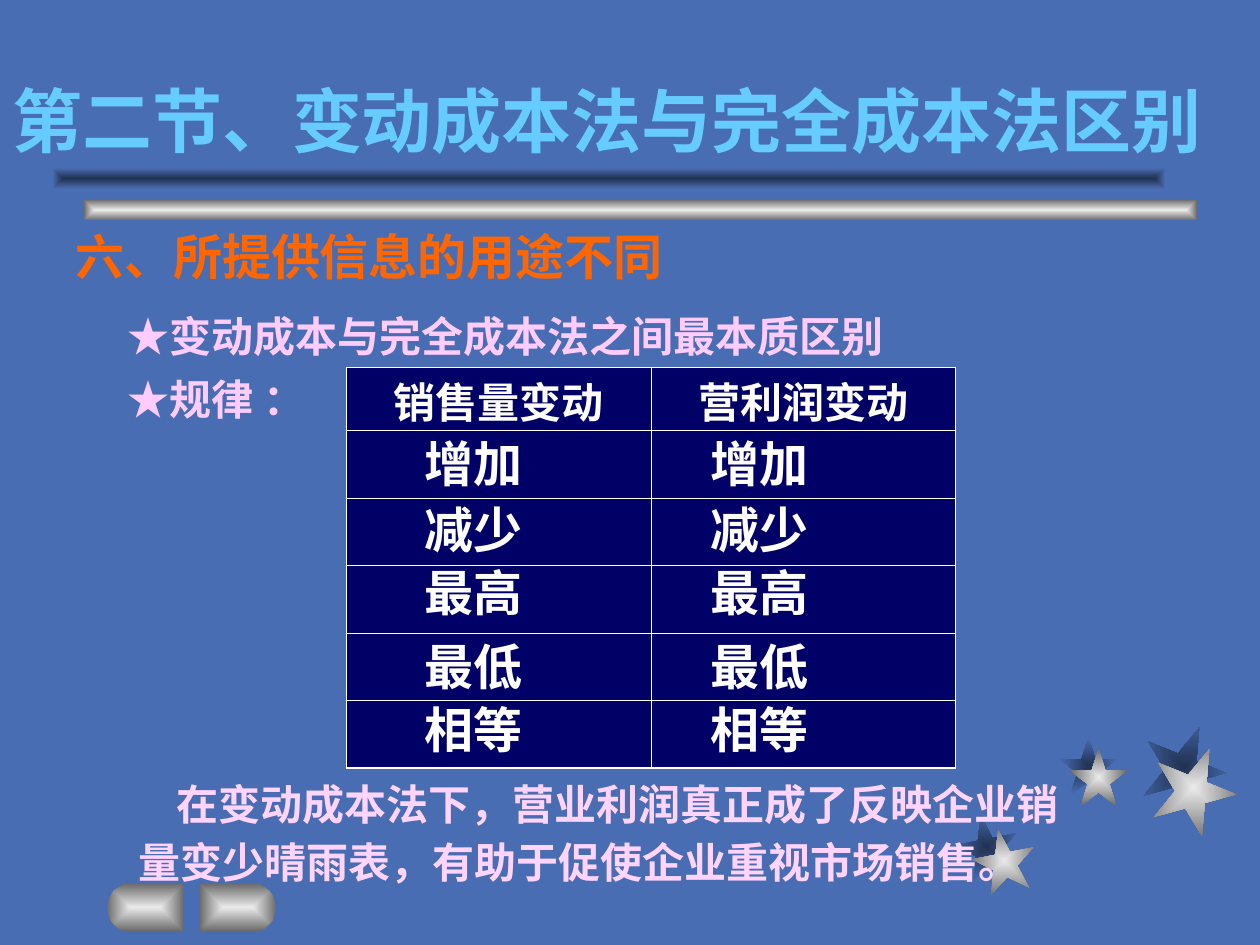
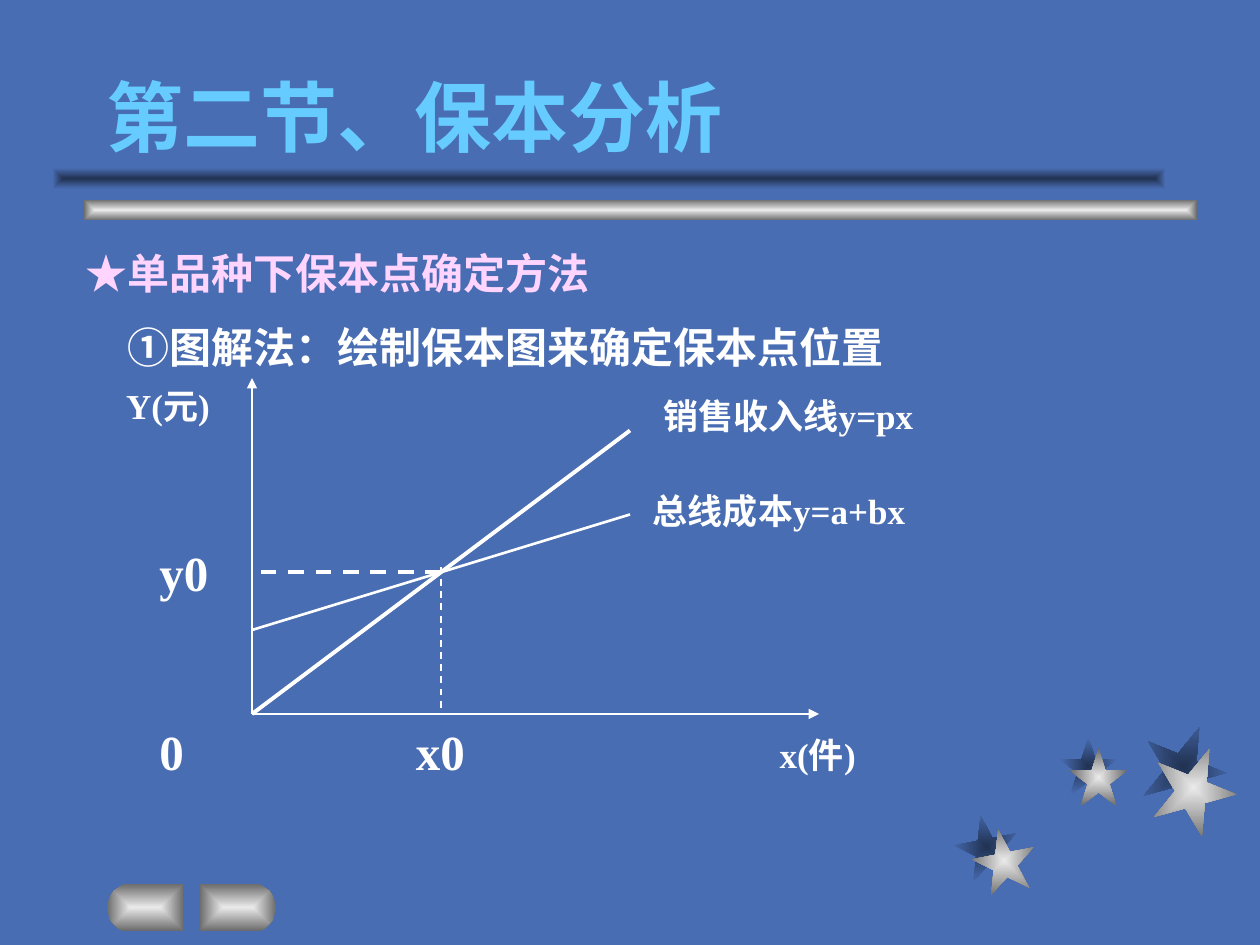
import math
from dataclasses import dataclass

import pptx
import pptx.dml.color
import pptx.enum.dml
import pptx.enum.shapes
import pptx.enum.text
import pptx.oxml
import pptx.oxml.ns
import pptx.util
from lxml import etree

Pt = pptx.util.Pt
qn = pptx.oxml.ns.qn
Shape = pptx.enum.shapes.MSO_SHAPE
Anchor = pptx.enum.text.MSO_ANCHOR
Align = pptx.enum.text.PP_ALIGN


@dataclass(frozen=True)
class Theme:
    background: str = "496DB2"
    shade: str = "213252"
    silver: str = "EAEAEA"
    grey: str = "6B6B6B"
    title: str = "66CCFF"
    heading: str = "FF6600"
    pink: str = "FFCCFF"
    pale_pink: str = "FFD5FF"
    white: str = "FFFFFF"
    navy: str = "000066"
    chinese: str = "Noto Sans CJK SC"
    serif: str = "Times New Roman"
    sans: str = "Arial"
    big_title: int = 44
    long_title: int = 40
    large: int = 28
    body: int = 24
    label: int = 20


THEME = Theme()
METAL = (THEME.silver, THEME.grey)
SHADOW = (THEME.shade, THEME.background)
# left, top, size, rotation
STARS = {
    SHADOW: [(545.8, 465.8, 36, 349), (605.5, 421.2, 33, 0), (652.3, 414, 48, 22)],
    METAL: [(555.8, 473.8, 36, 349), (611.3, 427.7, 33, 0), (658.1, 426.2, 48, 22)],
}


def fill_from_centre(shape, colours):
    """Rectangular gradient running from the middle to the edges."""
    shape.shadow.inherit = False
    shape.line.fill.background()
    shape.fill.gradient()
    for stop, colour, position in zip(shape.fill.gradient_stops, colours, (0, 1)):
        stop.color.rgb = rgb(colour)
        stop.position = position
    gradient = shape._element.spPr.find(qn("a:gradFill"))
    gradient.remove(gradient.find(qn("a:lin")))
    route = etree.SubElement(gradient, qn("a:path"), {"path": "rect"})
    sides = dict.fromkeys("ltrb", "50000")
    etree.SubElement(route, qn("a:fillToRect"), sides)


def rgb(colour):
    return pptx.dml.color.RGBColor.from_string(colour)


def add_preset(slide, kind, left, top, width, height, colours, rotation=0):
    shape = slide.shapes.add_shape(kind, Pt(left), Pt(top), Pt(width), Pt(height))
    shape.rotation = rotation
    fill_from_centre(shape, colours)


def add_button(slide, flat_edge, direction):
    """Button with a half-round end; direction is -1 for left, 1 for right."""
    top, radius, straight = 505, 13.7, 30.2
    points = []
    for step in range(13):
        angle = math.pi * (step / 12 - 0.5)
        x = flat_edge + direction * (straight + radius * math.cos(angle))
        points.append((x, top + radius * (1 + math.sin(angle))))
    points.append((flat_edge, top + 2 * radius))
    builder = slide.shapes.build_freeform(flat_edge, top, scale=Pt(1))
    builder.add_line_segments(points, close=True)
    fill_from_centre(builder.convert_to_shape(), METAL)


def add_base_slide(presentation):
    slide = presentation.slides.add_slide(presentation.slide_layouts[6])
    slide.background.fill.solid()
    slide.background.fill.fore_color.rgb = rgb(THEME.background)
    for colours, stars in STARS.items():
        for left, top, size, rotation in stars:
            add_preset(slide, Shape.STAR_5_POINT, left, top, size, size, colours, rotation)
    add_preset(slide, Shape.RECTANGLE, 48, 114, 636, 12, METAL)
    add_preset(slide, Shape.RECTANGLE, 30, 96, 636, 12, SHADOW)
    add_button(slide, 105.1, -1)
    add_button(slide, 113.8, 1)
    return slide


def format_run(run, size, colour, font):
    run.font.size = Pt(size)
    run.font.bold = True
    run.font.color.rgb = rgb(colour)
    run.font.name = font
    east_asian = etree.Element(qn("a:ea"), {"typeface": THEME.chinese})
    run.font._element.find(qn("a:latin")).addnext(east_asian)


def add_text(slide, text, left, top, width, height, size, colour,
             font=THEME.chinese, anchor=Anchor.TOP, bullet=""):
    box = slide.shapes.add_textbox(Pt(left), Pt(top), Pt(width), Pt(height))
    frame = box.text_frame
    frame.word_wrap = True
    frame.vertical_anchor = anchor
    paragraph = frame.paragraphs[0]
    paragraph.text = bullet or text
    if bullet:
        paragraph.add_run().text = text
        format_run(paragraph.runs[0], size, colour, THEME.sans)
    format_run(paragraph.runs[-1], size, colour, font)
    return paragraph


def add_title(slide, text, left, top, width, size):
    add_text(slide, text, left, top, width, 96 - top, size, THEME.title,
             anchor=Anchor.BOTTOM)


def add_label(slide, text, left, top, width, size=THEME.label):
    add_text(slide, text, left, top, width, 32, size, THEME.white, THEME.serif)


def add_change_row(slide, change, top):
    """The same change under both column headings, placed by tab stops."""
    paragraph = add_text(slide, f"\t{change}\t{change}", 204, top, 324, 41,
                         THEME.large, THEME.white, THEME.serif)
    tabs = etree.SubElement(paragraph._p.get_or_add_pPr(), qn("a:tabLst"))
    for position in (31.7, 195.2):
        etree.SubElement(tabs, qn("a:tab"), {"pos": str(Pt(position)), "algn": "l"})


def set_borders(cell, widths):
    properties = cell._tc.get_or_add_tcPr()
    for index, (side, width) in enumerate(widths.items()):
        line = etree.Element(qn(f"a:ln{side}"), {"w": str(Pt(width))})
        fill = etree.SubElement(line, qn("a:solidFill"))
        etree.SubElement(fill, qn("a:srgbClr"), {"val": THEME.white})
        properties.insert(index, line)


def add_profit_table(slide, headings, body_rows):
    row_heights = [36] + [38.6] * body_rows
    column_width = 174
    last_column = len(headings) - 1
    frame = slide.shapes.add_table(len(row_heights), len(headings), Pt(198), Pt(210),
                                   Pt(column_width * len(headings)), Pt(sum(row_heights)))
    table = frame.table
    table.first_row = table.horz_banding = False
    for column in table.columns:
        column.width = Pt(column_width)
    for row, height in enumerate(row_heights):
        table.rows[row].height = Pt(height)
        for column, heading in enumerate(headings):
            cell = table.cell(row, column)
            cell.fill.solid()
            cell.fill.fore_color.rgb = rgb(THEME.navy)
            cell.margin_top = cell.margin_bottom = 0
            if row == 0:
                cell.vertical_anchor = Anchor.BOTTOM
                paragraph = cell.text_frame.paragraphs[0]
                paragraph.text = heading
                paragraph.alignment = Align.CENTER
                format_run(paragraph.runs[0], THEME.body, THEME.white, THEME.sans)
            outer = {"L": column == 0, "R": column == last_column,
                     "T": row == 0, "B": row == body_rows}
            set_borders(cell, {side: 1.08 if edge else 0.45 for side, edge in outer.items()})


def add_line(slide, start, end, width, dashed=False, arrow=False):
    line = slide.shapes.add_connector(pptx.enum.shapes.MSO_CONNECTOR.STRAIGHT,
                                      *map(Pt, start + end))
    line.line.color.rgb = rgb(THEME.white)
    line.line.width = Pt(width)
    if dashed:
        line.line.dash_style = pptx.enum.dml.MSO_LINE.DASH
    if arrow:
        etree.SubElement(line.line._get_or_add_ln(), qn("a:tailEnd"), {"type": "triangle"})
    etree.SubElement(line._element.spPr, qn("a:effectLst"))


def add_break_even_graph(slide):
    origin, fixed_cost = (144, 408), (144, 360)
    revenue_end, cost_end, break_even = (360, 246), (360, 294), (252, 327)
    add_line(slide, origin, (468, origin[1]), 1, arrow=True)
    add_line(slide, origin, (origin[0], 216), 1.5, arrow=True)
    add_line(slide, origin, revenue_end, 2.25)
    add_line(slide, fixed_cost, cost_end, 1.5)
    add_line(slide, break_even, (origin[0], break_even[1]), 2.25, dashed=True)
    add_line(slide, (break_even[0], 324), (break_even[0], origin[1]), 1, dashed=True)
    add_label(slide, "x(件)", 438.5, 415.5, 80)
    add_label(slide, "Y(元)", 65, 216, 78)
    add_label(slide, "销售收入线y=px", 372, 222, 168)
    add_label(slide, "总线成本y=a+bx", 366, 276, 168)
    for text, left, top in (("y0", 84, 306.5), ("0", 84, 409), ("x0", 230.5, 409)):
        add_label(slide, text, left, top, 60, THEME.large)


def add_costing_slide(presentation):
    slide = add_base_slide(presentation)
    add_title(slide, "第二节、变动成本法与完全成本法区别", 0, 48, 720, THEME.long_title)
    add_text(slide, "六、所提供信息的用途不同", 36, 126, 432, 41, THEME.large, THEME.heading)
    add_text(slide, "变动成本与完全成本法之间最本质区别", 66, 174, 474, 36,
             THEME.body, THEME.pink, bullet="★")
    changes = {"增加": 244, "减少": 282, "最高": 318, "最低": 360, "相等": 396}
    add_profit_table(slide, ("销售量变动", "营利润变动"), len(changes))
    add_text(slide, "规律 ：", 66, 210, 120, 36, THEME.body, THEME.pink, bullet="★")
    for change, top in changes.items():
        add_change_row(slide, change, top)
    conclusion = add_text(
        slide, "在变动成本法下，营业利润真正成了反映企业销量变少晴雨表，"
        "有助于促使企业重视市场销售。", 72, 441.5, 558, 70, THEME.body, THEME.pale_pink)
    conclusion._p.get_or_add_pPr().set("indent", str(Pt(22)))
    conclusion.add_run().text = " "
    format_run(conclusion.runs[-1], THEME.large, THEME.pale_pink, THEME.serif)


def add_break_even_slide(presentation):
    slide = add_base_slide(presentation)
    add_title(slide, "第二节、保本分析", 54, 42, 462, THEME.big_title)
    add_text(slide, "单品种下保本点确定方法", 42, 138, 654, 36,
             THEME.body, THEME.pale_pink, bullet="★")
    add_text(slide, "①图解法：绘制保本图来确定保本点位置", 66, 180, 564, 36,
             THEME.body, THEME.white)
    add_break_even_graph(slide)


def main():
    presentation = pptx.Presentation()
    presentation.slide_width, presentation.slide_height = Pt(720), Pt(540)
    add_costing_slide(presentation)
    add_break_even_slide(presentation)
    presentation.save("out.pptx")


if __name__ == "__main__":
    main()
